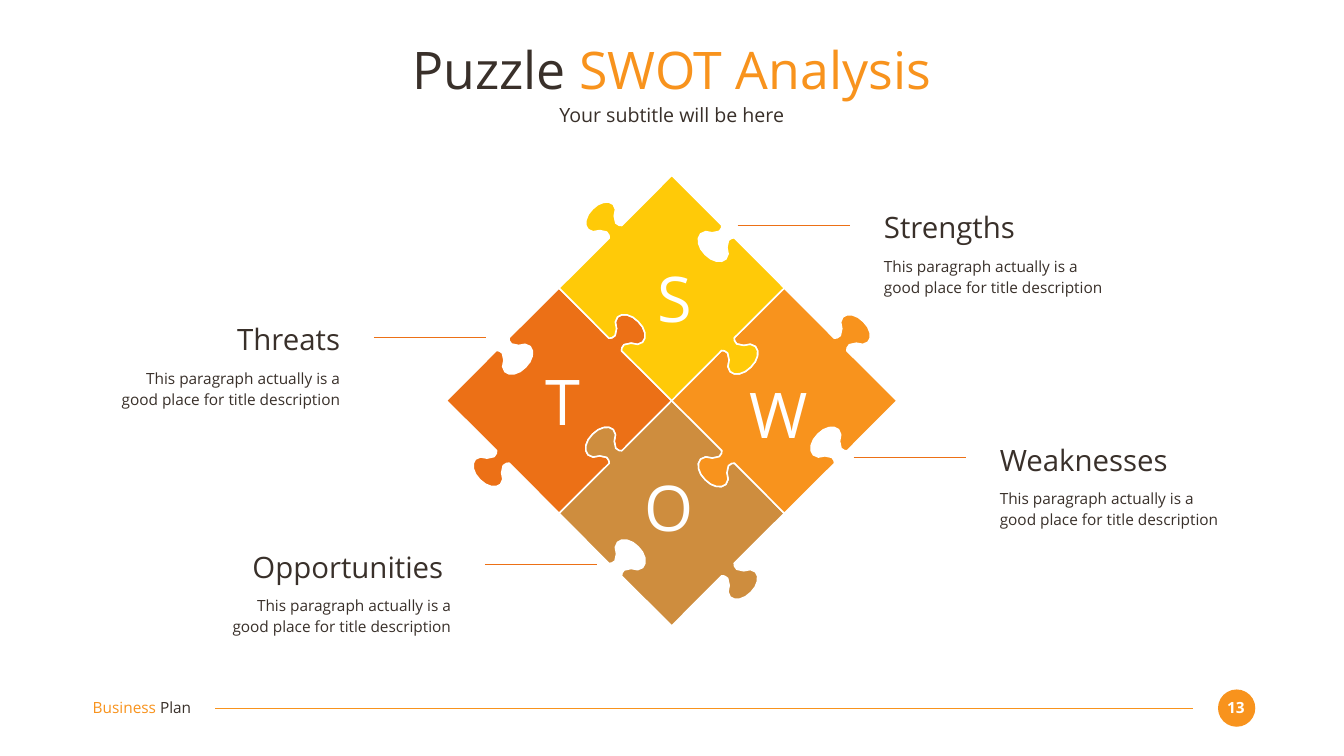
from pptx import Presentation
from pptx import util as u
from pptx.dml.color import RGBColor
from pptx.enum import shapes, text
from pptx.oxml import ns
from lxml import etree

Inches, Pt = u.Inches, u.Pt
LEFT, CENTER, RIGHT = text.PP_ALIGN.LEFT, text.PP_ALIGN.CENTER, text.PP_ALIGN.RIGHT
COLORS = {"dark": "39302A", "orange": "F8931D", "red": "EC7016",
          "brown": "CE8D3E", "yellow": "FFCA08", "white": "FFFFFF"}
COLORS = {name: RGBColor.from_string(value) for name, value in COLORS.items()}

prs = Presentation()
prs.slide_width, prs.slide_height = Inches(26.67), Inches(15)
slide = prs.slides.add_slide(prs.slide_layouts[5])


def write(box, runs, size, align=LEFT, spacing=1.0, bold=False):
    """Fill a box with one paragraph of (words, colour) runs."""
    frame = box.text_frame
    frame.word_wrap = True
    frame.auto_size = text.MSO_AUTO_SIZE.NONE
    frame.vertical_anchor = text.MSO_ANCHOR.MIDDLE
    frame.margin_left = frame.margin_right = frame.margin_top = frame.margin_bottom = 0
    paragraph = frame.paragraphs[0]
    paragraph.alignment, paragraph.line_spacing = align, spacing
    for words, color in runs:
        run = paragraph.add_run()
        run.text = words
        run.font.name, run.font.size, run.font.bold = "Open Sans", Pt(size), bold
        run.font.color.rgb = COLORS[color]


def rule(x1, x2, y, color):
    """Draw a thin horizontal line."""
    line = slide.shapes.add_connector(shapes.MSO_CONNECTOR.STRAIGHT,
                                      Inches(x1), Inches(y), Inches(x2), Inches(y))
    line.line.color.rgb, line.line.width = COLORS[color], Pt(1.5)
    etree.SubElement(line._element.spPr, ns.qn("a:effectLst"))


# Title and subtitle
title = slide.shapes.title
title.left, title.top, title.width, title.height = map(Inches, (1.83, 0.73, 23, 1.27))
write(title, [("Puzzle ", "dark"), ("SWOT Analysis", "orange")], 74, CENTER)
subtitle = slide.shapes.add_textbox(Inches(1.83), Inches(2.03), Inches(23), Inches(0.49))
write(subtitle, [("Your subtitle will be here", "dark")], 28, CENTER)

# Footer
rule(4.27, 23.67, 14.05, "orange")
badge = slide.shapes.add_shape(shapes.MSO_SHAPE.OVAL, Inches(24.17), Inches(13.68),
                               Inches(0.74), Inches(0.74))
badge.shadow.inherit = False
badge.fill.solid()
badge.fill.fore_color.rgb = COLORS["orange"]
badge.line.fill.background()
page_number = slide.shapes.add_textbox(Inches(24.23), Inches(13.85), Inches(0.59), Inches(0.37))
write(page_number, [("13", "white")], 22, CENTER, bold=True)
footer = slide.shapes.add_textbox(Inches(1.84), Inches(13.84), Inches(2.59), Inches(0.37))
write(footer, [("Business ", "orange"), ("Plan", "dark")], 22)

# Upper right edge of a piece: Bezier points of half a knob, seen from the piece's centre
RADIUS = 2.235
HALF_KNOB = [(0.99, -1.24), (1.02, -1.23), (1.07, -1.25), (1.11, -1.29),
             (1.14, -1.33), (1.15, -1.38), (1.14, -1.43), (1.10, -1.52),
             (1.11, -1.61), (1.16, -1.66), (1.25, -1.75), (1.44, -1.71), (1.57, -1.57)]
knob = HALF_KNOB + [(-y, -x) for x, y in HALF_KNOB[-2::-1]]
CURVE_STEPS = [2, 1, 2, 4, 4, 2, 1, 2]  # longer curves get more points
tab = [(0, -RADIUS), knob[0]]
for curve, steps in enumerate(CURVE_STEPS):
    p0, p1, p2, p3 = knob[3 * curve:3 * curve + 4]
    for step in range(1, steps + 1):
        t = step / steps
        tab.append(tuple((1 - t) ** 3 * a + 3 * (1 - t) ** 2 * t * b
                         + 3 * (1 - t) * t ** 2 * c + t ** 3 * d
                         for a, b, c, d in zip(p0, p1, p2, p3)))
# A socket is the tab mirrored across the straight edge
socket = tab[:1] + [(y + RADIUS, x - RADIUS) for x, y in tab[1:]]

# Puzzle pieces: edges alternate, each turned a quarter from the last
MIDDLE_X, MIDDLE_Y = 13.33, 7.95
pieces = [("red", -1, 0, tab, socket), ("brown", 0, 1, socket, tab),
          ("orange", 1, 0, tab, socket), ("yellow", 0, -1, socket, tab)]
for color, column, row, first_edge, second_edge in pieces:
    outline = []
    for turn, edge in enumerate([first_edge, second_edge] * 2):
        for x, y in edge:
            for _ in range(turn):
                x, y = -y, x
            outline.append((Inches(MIDDLE_X + column * RADIUS + x),
                            Inches(MIDDLE_Y + row * RADIUS + y)))
    builder = slide.shapes.build_freeform(*outline[0])
    builder.add_line_segments(outline[1:], close=True)
    piece = builder.convert_to_shape()
    piece.shadow.inherit = False
    piece.fill.solid()
    piece.fill.fore_color.rgb = COLORS[color]
    piece.line.color.rgb, piece.line.width = COLORS["white"], Pt(2.25)

# Letters on the pieces
for letter, x, y in [("W", 14.4, 7.44), ("S", 12.35, 5.14), ("T", 10.12, 7.19), ("O", 12.22, 9.3)]:
    initial = slide.shapes.add_textbox(Inches(x), Inches(y), Inches(2.1), Inches(1.51))
    write(initial, [(letter, "white")], 90, CENTER)

# Captions with their leader lines
DESCRIPTION = "This paragraph actually is a good place for title description"
CAPTION_WIDTH = 4.54
captions = [("Threats", 2.21, 6.37, RIGHT), ("Opportunities ", 4.41, 10.88, RIGHT),
            ("Strengths", 17.54, 4.15, LEFT), ("Weaknesses", 19.84, 8.76, LEFT)]
for heading, x, y, align in captions:
    caption = slide.shapes.add_textbox(Inches(x), Inches(y), Inches(CAPTION_WIDTH), Inches(0.71))
    write(caption, [(heading, "dark")], 42, align)
    description = slide.shapes.add_textbox(Inches(x), Inches(y + 0.85),
                                           Inches(CAPTION_WIDTH), Inches(0.92))
    write(description, [(DESCRIPTION, "dark")], 22, align, spacing=1.15)
    leader = x + CAPTION_WIDTH + 0.67 if align == RIGHT else x - 2.9
    rule(leader, leader + 2.22, y + 0.32, "red")

prs.save("out.pptx")
